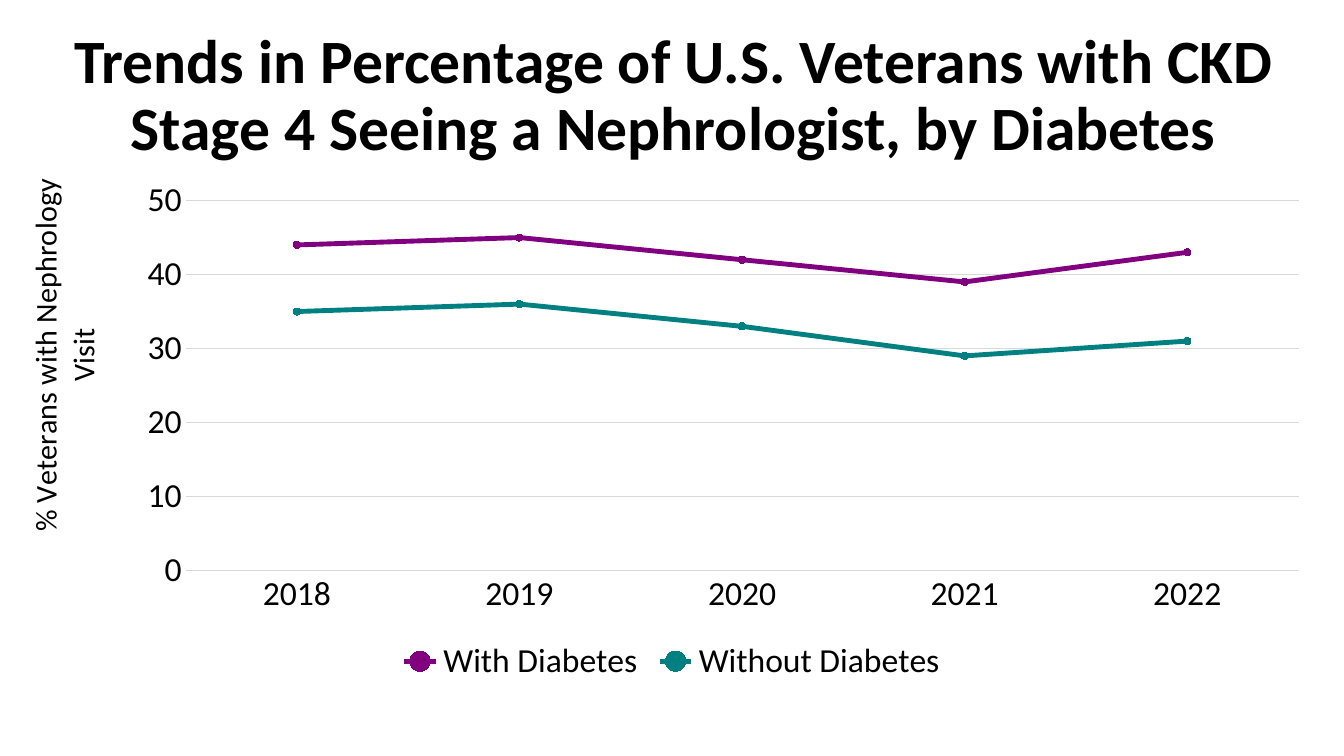
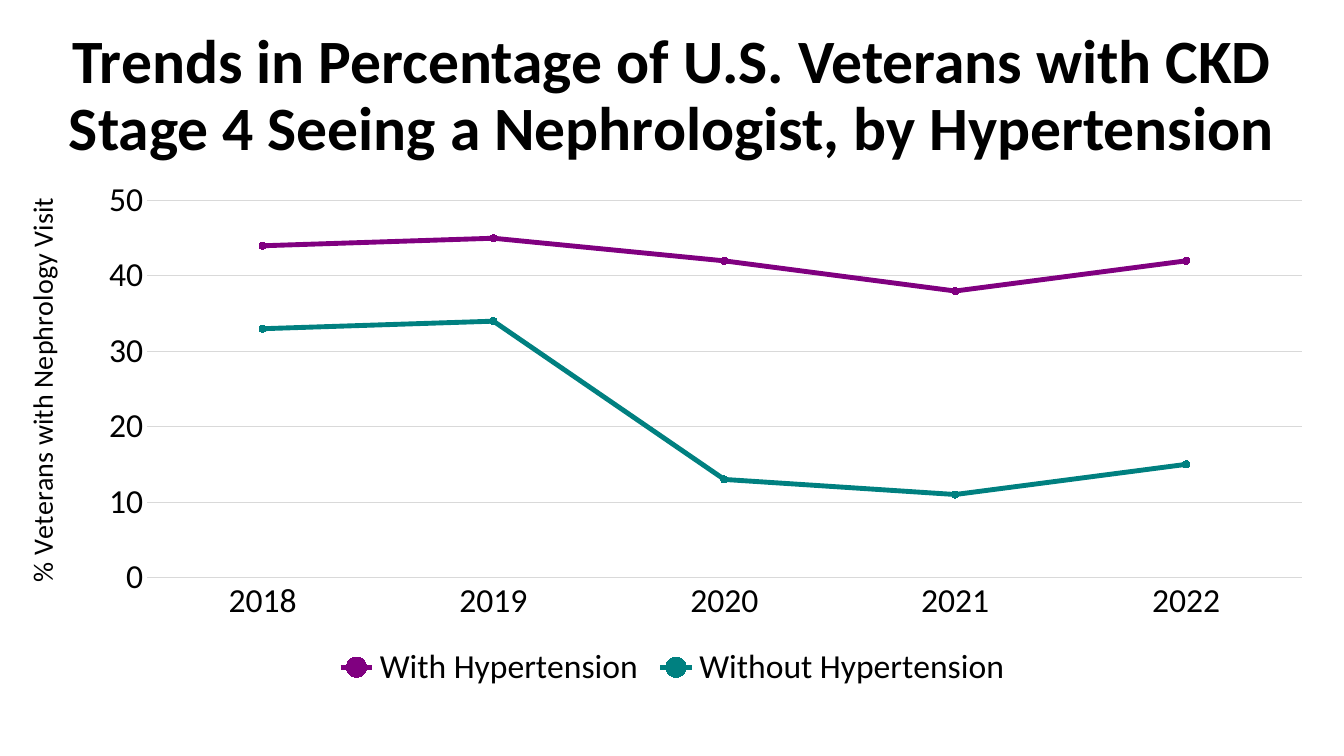
from lxml import etree
from pptx import Presentation
from pptx.chart.data import CategoryChartData
from pptx.dml.color import RGBColor
from pptx.enum.chart import XL_CHART_TYPE, XL_LEGEND_POSITION, XL_MARKER_STYLE, XL_TICK_MARK
from pptx.enum.text import MSO_ANCHOR, MSO_AUTO_SIZE, PP_ALIGN
from pptx.oxml.ns import qn
from pptx.util import Inches, Pt

LINE_MARKERS = XL_CHART_TYPE.LINE_MARKERS
BOTTOM = XL_LEGEND_POSITION.BOTTOM
CIRCLE = XL_MARKER_STYLE.CIRCLE
NO_TICK = XL_TICK_MARK.NONE
MIDDLE = MSO_ANCHOR.MIDDLE
NO_FIT = MSO_AUTO_SIZE.NONE
CENTER = PP_ALIGN.CENTER

FONT = "Calibri"
BLACK, GRID, PURPLE, TEAL = "000000", "D9D9D9", "800080", "008080"
YEARS = ["2018", "2019", "2020", "2021", "2022"]
TITLE = "Trends in Percentage of U.S. Veterans with CKD Stage 4 Seeing a Nephrologist, by "
AXIS_TITLE = "% Veterans with Nephrology Visit"

SLIDES = [
    {
        "group": "Diabetes",
        "title_box": (0.35, 0.24, 12.67, 1.45),
        "chart_box": (0.18, 1.69, 12.97, 5.14),
        "plot_box": (1.66, 0.3, 11.04, 3.67),
        "label_at": (0, 0.03),
        "label_size": 21.5,
        "with": [44, 45, 42, 39, 43],
        "without": [35, 36, 33, 29, 31],
    },
    {
        "group": "Hypertension",
        "title_box": (0.41, 0.24, 12.52, 1.45),
        "chart_box": (0.17, 1.69, 13, 5.2),
        "plot_box": (1.29, 0.3, 11.45, 3.74),
        "label_at": (0, 0.22),
        "label_size": 20,
        "with": [44, 45, 42, 38, 42],
        "without": [33, 34, 13, 11, 15],
    },
]


def rgb(value):
    """Turn a hex string into a colour."""
    return RGBColor.from_string(value)


def style_font(font, size, color=BLACK, bold=False):
    """Format a font."""
    font.name, font.size, font.bold = FONT, Pt(size), bold
    font.color.rgb = rgb(color)


def style_line(line, color, width):
    """Format a line."""
    line.color.rgb = rgb(color)
    line.width = Pt(width)


def write_text(tf, text, size, bold=False, align=CENTER, spacing=None):
    """Write one formatted paragraph into a text frame."""
    p = tf.paragraphs[0]
    p.alignment = align
    if spacing:
        p.line_spacing = spacing
    r = p.add_run()
    r.text = text
    style_font(r.font, size, bold=bold)


def set_layout(parent, index, chart_box, place, inner=False):
    """Place a chart part, given in inches from the chart's corner."""
    for old in parent.findall(qn("c:layout")):
        parent.remove(old)
    layout = etree.Element(qn("c:layout"))
    manual = etree.SubElement(layout, qn("c:manualLayout"))
    values = [("layoutTarget", "inner")] if inner else []
    values += [("xMode", "edge"), ("yMode", "edge")]
    sizes = chart_box[2:] * 2
    values += [(k, f"{v / s:.4f}") for k, v, s in zip("xywh", place, sizes)]
    for name, value in values:
        etree.SubElement(manual, qn("c:" + name)).set("val", value)
    parent.insert(index, layout)


def add_title(slide, box, text):
    """Place and fill the slide title."""
    sp = slide.shapes.title
    sp.left, sp.top, sp.width, sp.height = map(Inches, box)
    tf = sp.text_frame
    tf.word_wrap, tf.auto_size, tf.vertical_anchor = True, NO_FIT, MIDDLE
    write_text(tf, text, 44, bold=True, spacing=0.9)


def style_axes(chart, info):
    """Format both axes and the value axis title."""
    cat, val = chart.category_axis, chart.value_axis
    for axis in (cat, val):
        axis.major_tick_mark = axis.minor_tick_mark = NO_TICK
        style_font(axis.tick_labels.font, 24)
    style_line(cat.format.line, GRID, 0.75)
    val.format.line.fill.background()
    val.minimum_scale, val.maximum_scale, val.major_unit = 0, 50, 10
    val.tick_labels.number_format = "0"
    val.tick_labels.number_format_is_linked = False
    style_line(val.major_gridlines.format.line, GRID, 0.75)
    label = val.axis_title
    write_text(label.text_frame, AXIS_TITLE, info["label_size"])
    body = label.element.find(".//" + qn("a:bodyPr"))
    body.set("rot", "-5400000")
    body.set("vert", "horz")
    set_layout(label.element, 1, info["chart_box"], info["label_at"])


def add_trend_chart(slide, info, series):
    """Draw the line chart in its box."""
    box = info["chart_box"]
    data = CategoryChartData(number_format="0")
    data.categories = YEARS
    for name, values, _ in series:
        data.add_series(name, values)
    chart = slide.shapes.add_chart(LINE_MARKERS, *map(Inches, box), data).chart
    style_font(chart.font, 10)
    chart.has_title = False
    chart.has_legend = True
    chart.legend.position = BOTTOM
    chart.legend.include_in_layout = False
    style_font(chart.legend.font, 24)
    plot = chart.plots[0]
    plot.vary_by_categories = False
    for s, (_, _, color) in zip(plot.series, series):
        s.smooth = False
        style_line(s.format.line, color, 3.5)
        s.marker.style, s.marker.size = CIRCLE, 5
        s.marker.format.fill.solid()
        s.marker.format.fill.fore_color.rgb = rgb(color)
        style_line(s.marker.format.line, color, 0.75)
    style_axes(chart, info)
    plot_area = chart.element.find(".//" + qn("c:plotArea"))
    set_layout(plot_area, 0, box, info["plot_box"], inner=True)


def add_trend_slide(prs, info):
    """Add a slide with a title and a two-line trend chart."""
    slide = prs.slides.add_slide(prs.slide_layouts[5])
    group = info["group"]
    add_title(slide, info["title_box"], TITLE + group)
    series = [
        ("With " + group, info["with"], PURPLE),
        ("Without " + group, info["without"], TEAL),
    ]
    add_trend_chart(slide, info, series)


def main():
    """Build and save the presentation."""
    prs = Presentation()
    prs.slide_width, prs.slide_height = Inches(13.33), Inches(7.5)
    for info in SLIDES:
        add_trend_slide(prs, info)
    prs.save("out.pptx")


if __name__ == "__main__":
    main()
